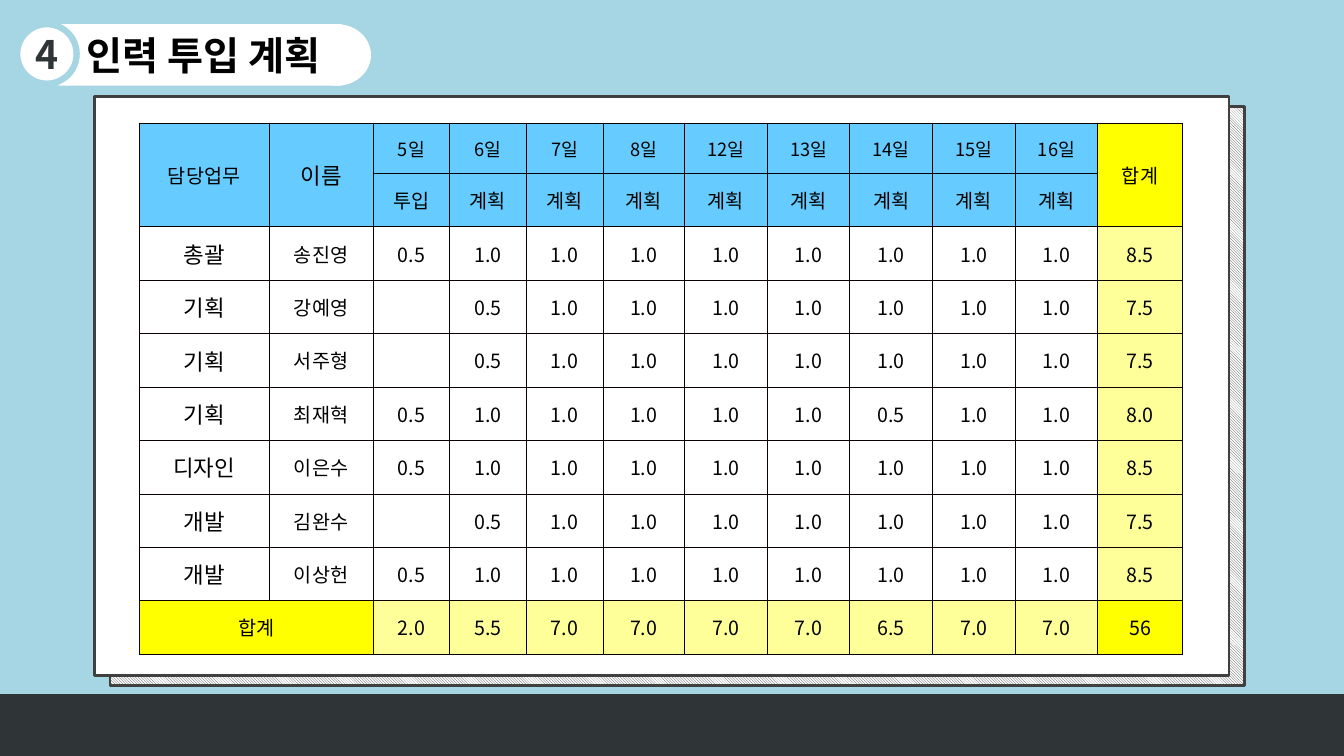
"""Build the staffing plan slide with its table of days per person."""
from dataclasses import dataclass

from lxml.etree import SubElement as Sub
from pptx import Presentation
from pptx.dml.color import RGBColor as Rgb
from pptx.enum.dml import MSO_PATTERN as Pat
from pptx.enum.shapes import MSO_SHAPE as Kind
from pptx.enum.text import MSO_ANCHOR as Anchor, PP_ALIGN as Align
from pptx.oxml.ns import qn
from pptx.util import Pt

PX = 9144


@dataclass(frozen=True)
class Theme:
    font: str = "Noto Sans CJK KR"
    sky: str = "A6D5E3"
    dark: str = "2F3436"
    frame: str = "404040"
    white: str = "FFFFFF"
    black: str = "000000"
    rule: str = "0A0000"
    head: str = "66CCFF"
    sum: str = "FFFF99"
    total: str = "FFFF00"
    title: int = 28
    large: int = 16
    body: int = 14
    day: int = 13


T = Theme()
DAYS = [5, 6, 7, 8, 12, 13, 14, 15, 16]
STAFF = [
    ("총괄", "송진영", [0.5] + [1] * 8),
    ("기획", "강예영", [0, 0.5] + [1] * 7),
    ("기획", "서주형", [0, 0.5] + [1] * 7),
    ("기획", "최재혁", [0.5] + [1] * 5 + [0.5, 1, 1]),
    ("디자인", "이은수", [0.5] + [1] * 8),
    ("개발", "김완수", [0, 0.5] + [1] * 7),
    ("개발", "이상헌", [0.5] + [1] * 8),
]
WIDTHS = [129, 103] + [76] * 3 + [81] + [82] * 5 + [84]
HEIGHTS = [50] + [53] * 9


def write(frame, text, size=T.body, color=T.black, bold=False):
    para = frame.paragraphs[0]
    para.alignment = Align.CENTER
    run = para.add_run()
    run.text = text
    font = run.font
    font.name, font.size, font.bold = T.font, Pt(size), bold
    font.color.rgb = Rgb.from_string(color)
    Sub(run._r.get_or_add_rPr(), qn("a:ea"), typeface=T.font)


def paint(fill, color):
    fill.solid()
    fill.fore_color.rgb = Rgb.from_string(color)


def shape(slide, kind, place, color=T.white, edge=None, width=1):
    item = slide.shapes.add_shape(kind, *(n * PX for n in place))
    item.shadow.inherit = False
    paint(item.fill, color)
    if edge:
        item.line.color.rgb = Rgb.from_string(edge)
        item.line.width = Pt(width)
    else:
        item.line.fill.background()
    item.text_frame.word_wrap = False
    item.text_frame.vertical_anchor = Anchor.MIDDLE
    return item


def hatch(item):
    fill = item.fill
    fill.patterned()
    fill.pattern = Pat.DARK_DOWNWARD_DIAGONAL
    fill.fore_color.rgb = Rgb.from_string(T.frame)
    fill.back_color.rgb = Rgb.from_string(T.white)


def style(cell, color):
    cell.vertical_anchor = Anchor.MIDDLE
    cell.margin_left = cell.margin_right = 7 * PX
    cell.margin_top = cell.margin_bottom = 2 * PX
    props = cell._tc.get_or_add_tcPr()
    for side in "LRTB":
        line = Sub(props, qn(f"a:ln{side}"), w=str(Pt(0.56)))
        Sub(Sub(line, qn("a:solidFill")), qn("a:srgbClr"), val=T.rule)
    paint(cell.fill, color)


def rows():
    plans = [plan for _, _, plan in STAFF]
    sums = [sum(day) for day in zip(*plans)]
    yield ["담당업무", "이름"] + [f"{day}일" for day in DAYS] + ["합계"]
    yield ["", "", "투입"] + ["계획"] * 8 + [""]
    for task, name, plan in STAFF:
        marks = [f"{n:.1f}" if n else "" for n in plan]
        yield [task, name] + marks + [f"{sum(plan):.1f}"]
    yield ["합계", ""] + [f"{n:.1f}" for n in sums] + [f"{sum(sums):.0f}"]


def look(row, col):
    last_row, last_col = row == len(HEIGHTS) - 1, col == len(WIDTHS) - 1
    if last_col and (row < 2 or last_row) or last_row and col < 2:
        return T.total, T.body
    if last_row or last_col:
        return T.sum, T.body
    if row == 0 and col > 1:
        return T.head, T.day
    large = (row, col) == (0, 1) or row > 1 and col == 0
    return T.head if row < 2 else T.white, T.large if large else T.body


def grid(slide, left, top):
    size = sum(WIDTHS) * PX, sum(HEIGHTS) * PX
    table = slide.shapes.add_table(
        len(HEIGHTS), len(WIDTHS), left * PX, top * PX, *size).table
    table.first_row = table.horz_banding = False
    for col, width in zip(table.columns, WIDTHS):
        col.width = width * PX
    for row, height in zip(table.rows, HEIGHTS):
        row.height = height * PX
    for r, texts in enumerate(rows()):
        for c, text in enumerate(texts):
            cell = table.cell(r, c)
            color, size = look(r, c)
            style(cell, color)
            if text:
                write(cell.text_frame, text, size=size)
    for c in (0, 1, len(WIDTHS) - 1):
        table.cell(0, c).merge(table.cell(1, c))
    foot = len(HEIGHTS) - 1
    table.cell(foot, 0).merge(table.cell(foot, 1))


def main():
    deck = Presentation()
    deck.slide_width, deck.slide_height = 1333 * PX, 750 * PX
    slide = deck.slides.add_slide(deck.slide_layouts[6])
    paint(slide.background.fill, T.sky)
    hatch(shape(slide, Kind.RECTANGLE, (109, 106, 1125, 574),
                edge=T.frame, width=2))
    shape(slide, Kind.RECTANGLE, (94, 96, 1125, 574), edge=T.frame, width=2)
    shape(slide, Kind.RECTANGLE, (0, 689, 1333, 61), T.dark, edge=T.dark)
    for left in (301, 29):
        shape(slide, Kind.OVAL, (left, 24, 67, 61))
    title = shape(slide, Kind.RECTANGLE, (65, 24, 274, 61))
    write(title.text_frame, "인력 투입 계획", size=T.title, bold=True)
    badge = shape(slide, Kind.OVAL, (17, 24, 59, 59), edge=T.sky, width=4.5)
    write(badge.text_frame, "4", size=T.title, color=T.dark, bold=True)
    grid(slide, 138, 122)
    deck.save("out.pptx")


if __name__ == "__main__":
    main()
